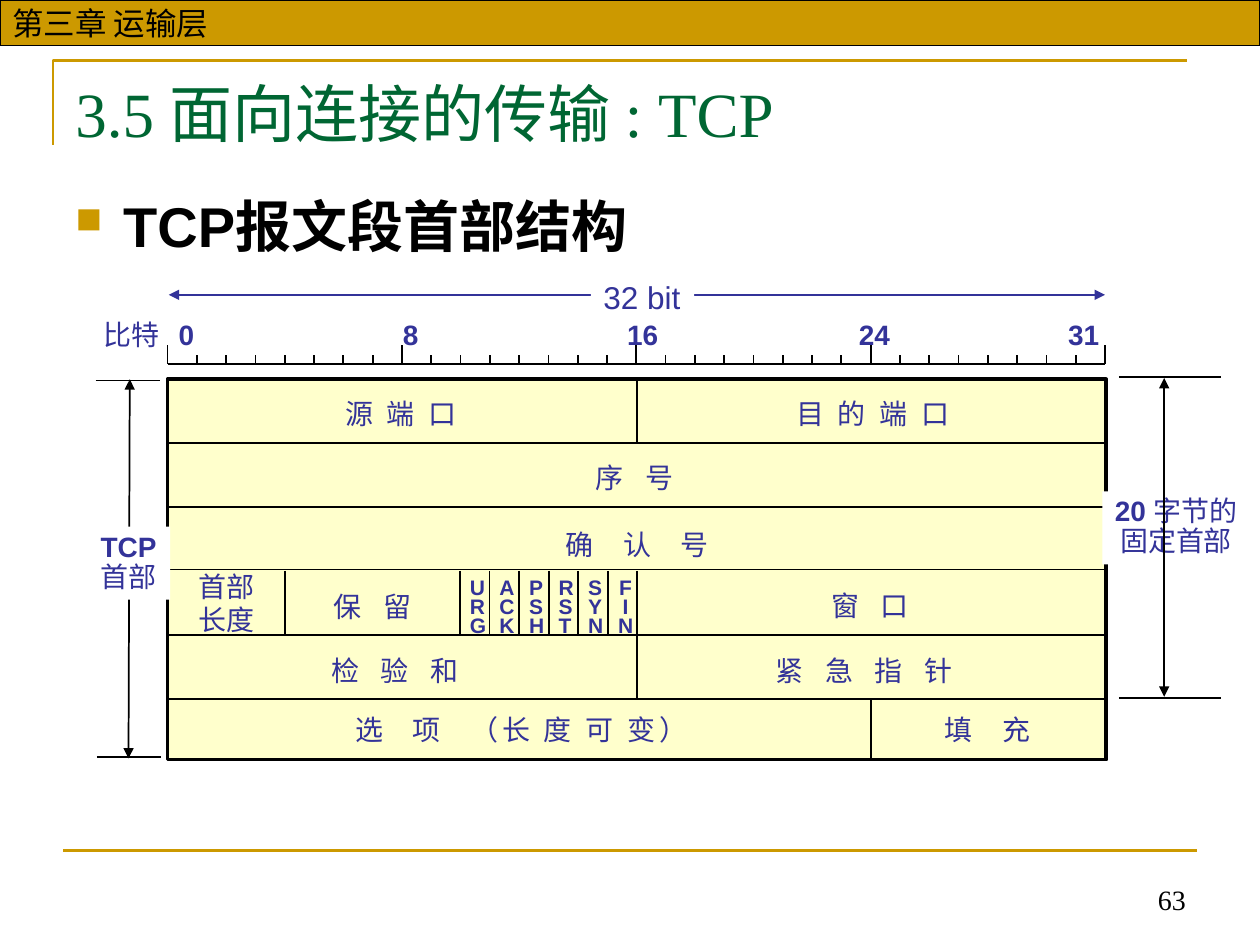
from lxml import etree
from pptx import Presentation
from pptx.dml.color import RGBColor
from pptx.enum.shapes import MSO_CONNECTOR as Connector, MSO_SHAPE as Shape
from pptx.enum.text import MSO_ANCHOR as Anchor, PP_ALIGN as Align
from pptx.oxml.ns import qn
from pptx.util import Inches, Pt

GOLD = RGBColor(0xCC, 0x99, 0x00)
GREEN = RGBColor(0x00, 0x66, 0x33)
BLUE = RGBColor(0x33, 0x33, 0x99)
BLACK = RGBColor(0x00, 0x00, 0x00)
WHITE = RGBColor(0xFF, 0xFF, 0xFF)
CREAM = RGBColor(0xFF, 0xFF, 0xCC)

LABEL = {"name": "Arial", "size": Pt(16), "bold": False}
BOLD = {**LABEL, "bold": True}
FLAG = {**BOLD, "size": Pt(12)}

# Header grid and bit ruler
LEFT, TOP, WIDTH, HEIGHT = 1.33, 3.01, 7.45, 3.02
RIGHT, MIDDLE = LEFT + WIDTH, LEFT + WIDTH / 2
ROW_STEP = 0.507
RULER_Y, BIT_STEP = 2.89, 7.44 / 32
FLAG_LEFT, FLAG_STEP = 3.65, 0.235


def row_y(row):
    return TOP + ROW_STEP * row


def add_line(slide, x1, y1, x2, y2, color=BLACK, width=1, arrows=False):
    line = slide.shapes.add_connector(
        Connector.STRAIGHT, Inches(x1), Inches(y1), Inches(x2), Inches(y2))
    line.line.color.rgb = color
    line.line.width = Pt(width)
    if arrows:
        outline = line.line._get_or_add_ln()
        for end in ("a:headEnd", "a:tailEnd"):
            etree.SubElement(outline, qn(end), type="triangle")
    etree.SubElement(line._element.spPr, qn("a:effectLst"))
    return line


def add_box(slide, x, y, width, height, fill, border=None, border_width=1):
    box = slide.shapes.add_shape(
        Shape.RECTANGLE, Inches(x), Inches(y), Inches(width), Inches(height))
    box.shadow.inherit = False
    box.fill.solid()
    box.fill.fore_color.rgb = fill
    if border is None:
        box.line.fill.background()
    else:
        box.line.color.rgb = border
        box.line.width = Pt(border_width)
    return box


def write(shape, paragraphs, color=BLUE, align=Align.LEFT, anchor=Anchor.TOP,
          wrap=False, line_spacing=None):
    """Each paragraph is a list of (text, font format, letter spacing in points)."""
    frame = shape.text_frame
    frame.word_wrap = wrap
    frame.vertical_anchor = anchor
    for index, runs in enumerate(paragraphs):
        paragraph = frame.paragraphs[0] if index == 0 else frame.add_paragraph()
        paragraph.alignment = align
        if line_spacing:
            paragraph.line_spacing = line_spacing
        for text, font_format, spacing in runs:
            run = paragraph.add_run()
            run.text = text
            for name, value in font_format.items():
                setattr(run.font, name, value)
            run.font.color.rgb = color
            if spacing:
                run._r.get_or_add_rPr().set("spc", str(round(spacing * 100)))
    return frame


def add_text(slide, x, y, width, height, paragraphs, **options):
    box = slide.shapes.add_textbox(
        Inches(x), Inches(y), Inches(width), Inches(height))
    return write(box, paragraphs, **options)


def add_frame(slide):
    # Corner rule, bottom rule, chapter bar and page number
    builder = slide.shapes.build_freeform(Inches(0.42), Inches(1.15))
    builder.add_line_segments(
        [(Inches(0.42), Inches(0.48)), (Inches(9.42), Inches(0.48))], close=False)
    corner = builder.convert_to_shape()
    corner.shadow.inherit = False
    corner.fill.background()
    corner.line.color.rgb = GOLD
    corner.line.width = Pt(1.5)
    add_line(slide, 0.5, 6.75, 9.5, 6.75, GOLD, 1.5)
    bar = add_box(slide, 0, 0, 10, 0.36, GOLD, BLACK, 0.75)
    write(bar, [[("第三章 运输层", {**LABEL, "size": Pt(18)}, 0)]],
          color=BLACK, anchor=Anchor.MIDDLE, wrap=True)
    add_text(slide, 6.34, 6.82, 3.17, 0.5,
             [[("63", {"name": "Times New Roman", "size": Pt(16)}, 0)]],
             color=BLACK, align=Align.RIGHT, anchor=Anchor.BOTTOM, wrap=True)


def add_headings(slide):
    add_text(slide, 0.5, 0.54, 9, 0.77,
             [[("3.5 面向连接的传输 : TCP",
                {"name": "Times New Roman", "size": Pt(36)}, 0)]],
             color=GREEN, wrap=True)
    frame = add_text(slide, 0.5, 1.47, 9, 0.71,
                     [[("TCP报文段首部结构", {**BOLD, "size": Pt(32)}, 0)]],
                     color=BLACK, wrap=True)
    paragraph = frame.paragraphs[0]
    paragraph.space_before = Pt(6.4)
    properties = paragraph._p.get_or_add_pPr()
    properties.set("marL", str(Inches(0.38)))
    properties.set("indent", str(-Inches(0.38)))
    bullet_color = etree.SubElement(properties, qn("a:buClr"))
    etree.SubElement(bullet_color, qn("a:srgbClr"), val=str(GOLD))
    etree.SubElement(properties, qn("a:buSzPct"), val="65000")
    etree.SubElement(properties, qn("a:buChar"), char="■")


def add_ruler(slide):
    add_line(slide, 1.34, 2.34, 8.77, 2.34, BLUE, arrows=True)
    width_label = add_box(slide, 4.69, 2.16, 0.82, 0.4, WHITE)
    write(width_label, [[("32 bit", {**LABEL, "size": Pt(18)}, 0)]])
    add_line(slide, LEFT, RULER_Y, LEFT + 32 * BIT_STEP, RULER_Y)
    for bit in range(33):
        x = LEFT + bit * BIT_STEP
        add_line(slide, x, RULER_Y - (0.07 if bit % 8 else 0.15), x, RULER_Y)
    add_text(slide, 0.72, 2.47, 0.65, 0.37, [[("比特", LABEL, 0)]])
    for text, center in (("0", 1.48), ("8", 3.26), ("16", 5.1),
                         ("24", 6.94), ("31", 8.6)):
        add_text(slide, center - 0.25, 2.47, 0.5, 0.37, [[(text, BOLD, 0)]],
                 align=Align.CENTER)


def add_grid(slide):
    grid = add_box(slide, LEFT, TOP, WIDTH, HEIGHT, CREAM, BLACK, 2)
    rows = [add_line(slide, LEFT, row_y(row), RIGHT, row_y(row))
            for row in range(1, 6)]
    rows[2].begin_connect(grid, 1)
    rows[2].end_connect(grid, 3)
    port_divider = add_line(slide, MIDDLE, TOP, MIDDLE, row_y(1))
    port_divider.begin_connect(grid, 0)
    add_line(slide, MIDDLE, row_y(3), MIDDLE, row_y(5))
    add_line(slide, 6.91, row_y(5), 6.91, TOP + HEIGHT)
    flag_edges = [FLAG_LEFT + FLAG_STEP * flag for flag in range(6)]
    for x in [2.26, *flag_edges]:
        add_line(slide, x, row_y(3), x, row_y(4))

    # Field names: text, left, top, width, letter spacing
    for text, x, y, width, spacing in (
            ("源 端 口", 2.64, 3.1, 1.12, 2.2),
            ("目 的 端 口", 6.22, 3.1, 1.48, 2.2),
            ("序 号", 4.63, 3.61, 0.84, 4.4),
            ("确 认 号", 4.39, 4.14, 1.42, 6.7),
            ("保 留", 2.55, 4.63, 0.84, 4.4),
            ("窗 口", 6.5, 4.62, 0.84, 4.4),
            ("检 验 和", 2.53, 5.14, 1.25, 4.4),
            ("紧 急 指 针", 6.06, 5.14, 1.66, 4.4),
            ("填 充", 7.4, 5.61, 0.9, 6.7)):
        add_text(slide, x, y, width, 0.37, [[(text, LABEL, spacing)]])
    add_text(slide, 2.72, 5.61, 3.1, 0.37,
             [[("选 项 ", LABEL, 6.7), ("（长 度 可 变）", LABEL, 2.2)]], wrap=True)
    add_text(slide, 1.48, 4.47, 0.65, 0.64,
             [[("首部", LABEL, 0)], [("长度", LABEL, 0)]])

    # Flags, one letter a line
    for x, flag in zip(flag_edges, ("URG", "ACK", "PSH", "RST", "SYN", "FIN")):
        add_text(slide, x - 0.02, 4.56, 0.32, 0.55,
                 [[(letter, FLAG, 0)] for letter in flag], line_spacing=0.75,
                 align=Align.CENTER if flag == "FIN" else Align.LEFT)


def add_extents(slide):
    # Whole header on the left, fixed part on the right
    add_line(slide, 1.03, 3.01, 1.02, 6.02, arrows=True)
    whole = add_box(slide, 0.7, 4.18, 0.65, 0.58, WHITE)
    write(whole, [[("TCP", BOLD, 0)], [("首部", LABEL, 0)]], line_spacing=0.9)
    fixed = add_box(slide, 8.75, 3.9, 1.17, 0.58, WHITE)
    write(fixed, [[("20 ", BOLD, 0), ("字节的", LABEL, 0)], [("固定首部", LABEL, 0)]],
          align=Align.CENTER, wrap=True, line_spacing=0.9)
    add_line(slide, 9.24, 3, 9.24, 5.53, arrows=True)
    for x, y, length in ((0.76, 3.02, 0.51), (0.77, 6.01, 0.51),
                         (8.88, 2.99, 0.81), (8.88, 5.54, 0.81)):
        add_line(slide, x, y, x + length, y)


def main():
    presentation = Presentation()
    presentation.slide_width = Inches(10)
    presentation.slide_height = Inches(7.5)
    slide = presentation.slides.add_slide(presentation.slide_layouts[6])
    add_frame(slide)
    add_headings(slide)
    add_ruler(slide)
    add_grid(slide)
    add_extents(slide)
    presentation.save("out.pptx")


if __name__ == "__main__":
    main()
